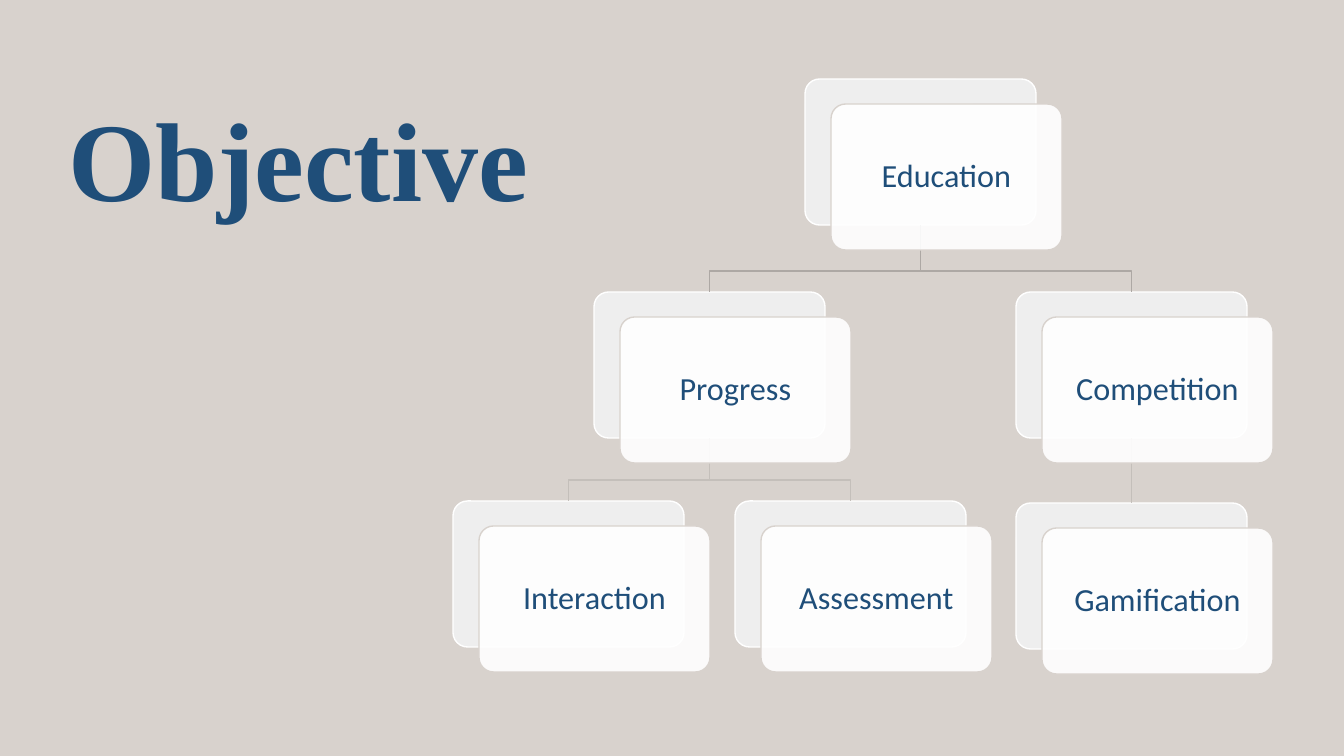
"""Builds the Objective slide with its hierarchy of overlapping cards."""
from lxml.etree import SubElement
from pptx import Presentation
from pptx.dml.color import RGBColor
from pptx.enum.shapes import MSO_CONNECTOR, MSO_SHAPE
from pptx.enum.text import MSO_ANCHOR, MSO_AUTO_SIZE, PP_ALIGN
from pptx.oxml.ns import qn
from pptx.util import Pt

TITLE = "Objective"
TITLE_BOX = (58, 83, 613, 146)
CARDS = {
    "Education": (805, 79),
    "Progress": (594, 292),
    "Competition": (1016, 292),
    "Interaction": (453, 501),
    "Assessment": (735, 501),
    "Gamification": (1016, 503),
}
LINKS = [
    ("Competition", "Gamification", "line2"),
    ("Education", "Competition", "line1"),
    ("Progress", "Assessment", "line2"),
    ("Progress", "Interaction", "line2"),
    ("Education", "Progress", "line1"),
]
COLORS = {
    "background": "D8D2CD",
    "text": "1F4E79",
    "back": "EEEEEE",
    "white": "FFFFFF",
    "line1": "ADA8A4",
    "line2": "C4BFBA",
}
CARD_W, CARD_H = 231, 146
SHIFT_X, SHIFT_Y = 26, 25
BEND_GAP = 21
EMU = 914400 / 100.8


def px(n):
    return round(n * EMU)


def color(name):
    return RGBColor.from_string(COLORS[name])


def style_text(p, font, size, align, bold=False):
    p.alignment = align
    f = p.runs[0].font
    f.name, f.size, f.bold = font, Pt(size), bold
    f.color.rgb = color("text")


def style_line(sp, name):
    sp.line.color.rgb = color(name)
    sp.line.width = Pt(1)


def add_card(s, x, y, fill, line):
    sp = s.shapes.add_shape(MSO_SHAPE.ROUNDED_RECTANGLE,
                            px(x), px(y), px(CARD_W), px(CARD_H))
    sp.adjustments[0] = 0.1
    sp.shadow.inherit = False
    sp.fill.solid()
    sp.fill.fore_color.rgb = color(fill)
    style_line(sp, line)
    return sp


def add_link(s, backs, parent, child, line):
    x1, y1 = CARDS[parent][0] + CARD_W / 2, CARDS[parent][1] + CARD_H
    x2, y2 = CARDS[child][0] + CARD_W / 2, CARDS[child][1]
    if x1 == x2:
        sp = s.shapes.add_connector(MSO_CONNECTOR.STRAIGHT,
                                    px(x1), px(y1), px(x2), px(y2))
        sp.begin_connect(backs[parent], 2)
        sp.end_connect(backs[child], 0)
        style_line(sp, line)
        SubElement(sp._element.spPr, qn("a:effectLst"))
    else:
        bend = y2 - BEND_GAP
        fb = s.shapes.build_freeform(px(x1), px(y1))
        fb.add_line_segments([(px(x), px(y)) for x, y in
                              ((x1, bend), (x2, bend), (x2, y2))], close=False)
        sp = fb.convert_to_shape()
        sp.fill.background()
        sp.shadow.inherit = False
        style_line(sp, line)


def add_label_card(s, label, x, y):
    sp = add_card(s, x + SHIFT_X, y + SHIFT_Y, "white", "background")
    clr = sp._element.spPr.find(qn("a:solidFill")).find(qn("a:srgbClr"))
    SubElement(clr, qn("a:alpha"), val="90000")
    tf = sp.text_frame
    tf.text = label
    tf.word_wrap = True
    tf.vertical_anchor = MSO_ANCHOR.MIDDLE
    tf.paragraphs[0].line_spacing = 0.9
    style_text(tf.paragraphs[0], "Calibri", 23, PP_ALIGN.CENTER)


def main():
    prs = Presentation()
    prs.slide_width, prs.slide_height = px(1344), px(756)
    s = prs.slides.add_slide(prs.slide_layouts[5])
    s.background.fill.solid()
    s.background.fill.fore_color.rgb = color("background")

    title = s.shapes.title
    title.left, title.top, title.width, title.height = map(px, TITLE_BOX)
    tf = title.text_frame
    tf.text = TITLE
    tf.auto_size = MSO_AUTO_SIZE.NONE
    tf.vertical_anchor = MSO_ANCHOR.BOTTOM
    style_text(tf.paragraphs[0], "Times New Roman", 80, PP_ALIGN.LEFT, True)

    backs = {label: add_card(s, x, y, "back", "white")
             for label, (x, y) in CARDS.items()}
    for parent, child, line in LINKS:
        add_link(s, backs, parent, child, line)
    for label, (x, y) in CARDS.items():
        add_label_card(s, label, x, y)

    prs.save("out.pptx")


if __name__ == "__main__":
    main()
